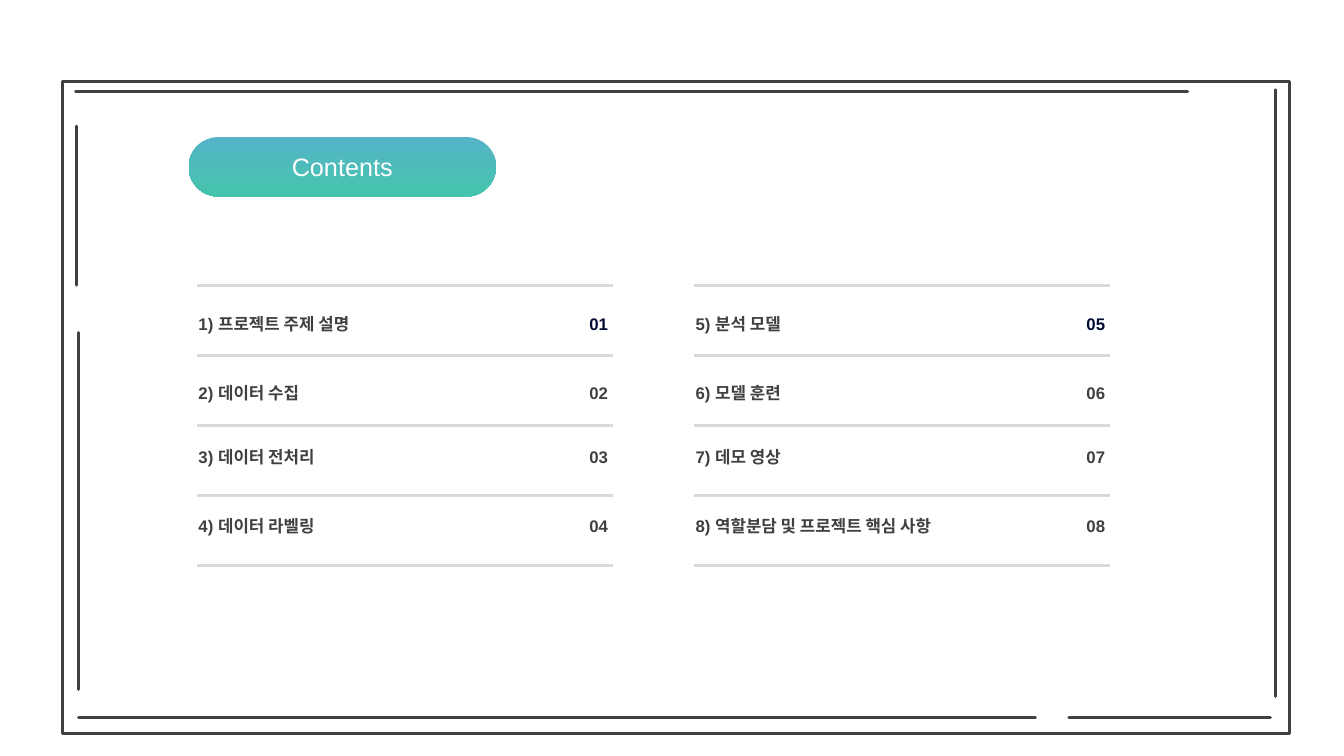
import pptx
import pptx.util
import pptx.dml.color
import pptx.enum.shapes
import pptx.enum.text
import lxml.etree
from pptx.util import Inches

# Content: label, box width, page number
COLUMNS = [
    (1.87, [("1) 프로젝트 주제 설명", 1.88, "01"), ("2) 데이터 수집", 1.32, "02"),
            ("3) 데이터 전처리", 1.49, "03"), ("4) 데이터 라벨링", 1.55, "04")]),
    (6.8, [("5) 분석 모델", 1.15, "05"), ("6) 모델 훈련", 1.21, "06"),
           ("7) 데모 영상", 1.15, "07"), ("8) 역할분담 및 프로젝트 핵심 사항", 2.85, "08")]),
]
ROW_TOPS = [3.06, 3.75, 4.38, 5.07]
RULE_TOP, RULE_STEP, RULE_COUNT = 2.83, 0.695, 5
RULE_INSET, RULE_WIDTH = 0.08, 4.13
NUMBER_OFFSET, NUMBER_WIDTH, TEXT_HEIGHT = 3.86, 0.4, 0.3

FRAME = (0.62, 0.81, 12.17, 6.47)
FRAME_LINES = [  # x1, y1, x2, y2
    (12.65, 0.89, 12.65, 6.91), (0.76, 1.25, 0.76, 2.83),
    (0.78, 3.3, 0.78, 6.84), (0.75, 0.91, 11.78, 0.91),
    (0.78, 7.12, 10.27, 7.12), (10.6, 7.12, 12.6, 7.12),
]
TITLE = "Contents"
PILL_LEFT, PILL_TOP, PILL_WIDTH, PILL_HEIGHT = 1.87, 1.36, 3.05, 0.59
DARK, GREY, NAVY, WHITE = "404040", "D9D9D9", "000A34", "FFFFFF"
GRADIENT = ["55B4C8", "45C4AC"]

SHAPE = pptx.enum.shapes.MSO_SHAPE
ALIGN = pptx.enum.text.PP_ALIGN


def rgb(value):
    return pptx.dml.color.RGBColor.from_string(value)


def add_line(x1, y1, x2, y2, color, width, cap="flat"):
    c = s.shapes.add_connector(pptx.enum.shapes.MSO_CONNECTOR.STRAIGHT,
                               Inches(x1), Inches(y1), Inches(x2), Inches(y2))
    c.line.color.rgb = rgb(color)
    c.line.width = pptx.util.Pt(width)
    c.line._get_or_add_ln().set("cap", cap)
    lxml.etree.SubElement(c._element.spPr, pptx.oxml.ns.qn("a:effectLst"))


def set_text(tf, text, size, color, align, bold=False):
    p = tf.paragraphs[0]
    p.text = text
    p.alignment = align
    r = p.runs[0]
    r.font.name = "Arial"
    r.font.size = pptx.util.Pt(size)
    r.font.bold = bold
    r.font.color.rgb = rgb(color)


def add_label(left, top, width, text, color, align):
    tf = s.shapes.add_textbox(Inches(left), Inches(top), Inches(width),
                              Inches(TEXT_HEIGHT)).text_frame
    tf.word_wrap = False
    tf.auto_size = pptx.enum.text.MSO_AUTO_SIZE.SHAPE_TO_FIT_TEXT
    set_text(tf, text, 12, color, align, bold=True)


def add_pill_part(group, kind, left, width):
    sp = group.shapes.add_shape(kind, Inches(left), Inches(PILL_TOP),
                                Inches(width), Inches(PILL_HEIGHT))
    sp.shadow.inherit = False
    sp.line.fill.background()
    sp.fill.gradient()
    sp.fill.gradient_angle = 270
    for stop, color, position in zip(sp.fill.gradient_stops, GRADIENT, (0, 1)):
        stop.color.rgb = rgb(color)
        stop.position = position
    return sp


prs = pptx.Presentation()
prs.slide_width, prs.slide_height = Inches(13.33), Inches(7.5)
s = prs.slides.add_slide(prs.slide_layouts[6])

# Frame
frame = s.shapes.add_shape(SHAPE.RECTANGLE, *[Inches(v) for v in FRAME])
frame.shadow.inherit = False
frame.fill.background()
frame.line.color.rgb = rgb(DARK)
frame.line.width = pptx.util.Pt(2)
for ends in FRAME_LINES:
    add_line(*ends, DARK, 2, "rnd")

# Contents columns
for left, items in COLUMNS:
    for top, (label, width, number) in zip(ROW_TOPS, items):
        add_label(left, top, width, label, DARK, ALIGN.LEFT)
        add_label(left + NUMBER_OFFSET, top, NUMBER_WIDTH, number,
                  NAVY if top == ROW_TOPS[0] else DARK, ALIGN.RIGHT)
    x = left + RULE_INSET
    for i in range(RULE_COUNT):
        y = RULE_TOP + i * RULE_STEP
        add_line(x, y, x + RULE_WIDTH, y, GREY, 2.25)

# Title pill: two round ends under a bar
pill = s.shapes.add_group_shape()
for left in (PILL_LEFT, PILL_LEFT + PILL_WIDTH - PILL_HEIGHT):
    add_pill_part(pill, SHAPE.OVAL, left, PILL_HEIGHT)
bar = add_pill_part(pill, SHAPE.RECTANGLE, PILL_LEFT + PILL_HEIGHT / 2,
                    PILL_WIDTH - PILL_HEIGHT)
bar.text_frame.vertical_anchor = pptx.enum.text.MSO_ANCHOR.MIDDLE
set_text(bar.text_frame, TITLE, 18, WHITE, ALIGN.CENTER)

prs.save("out.pptx")
